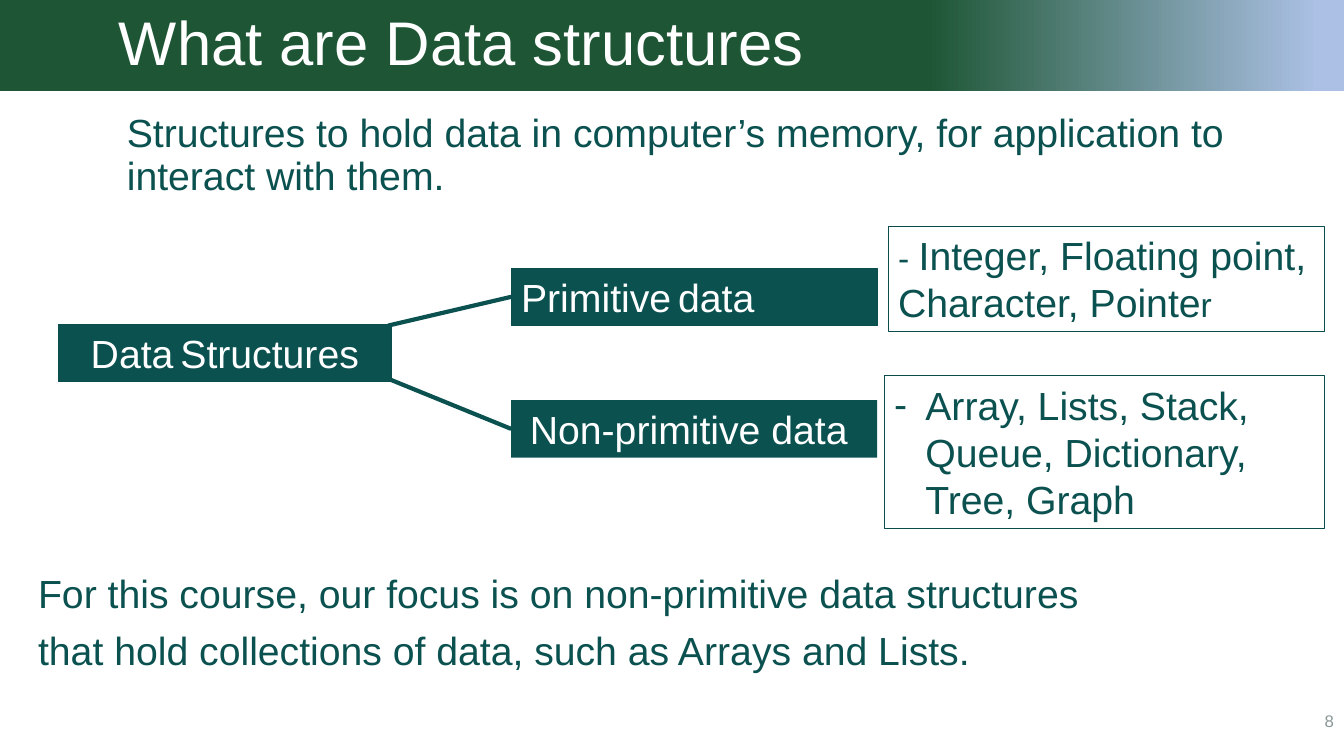
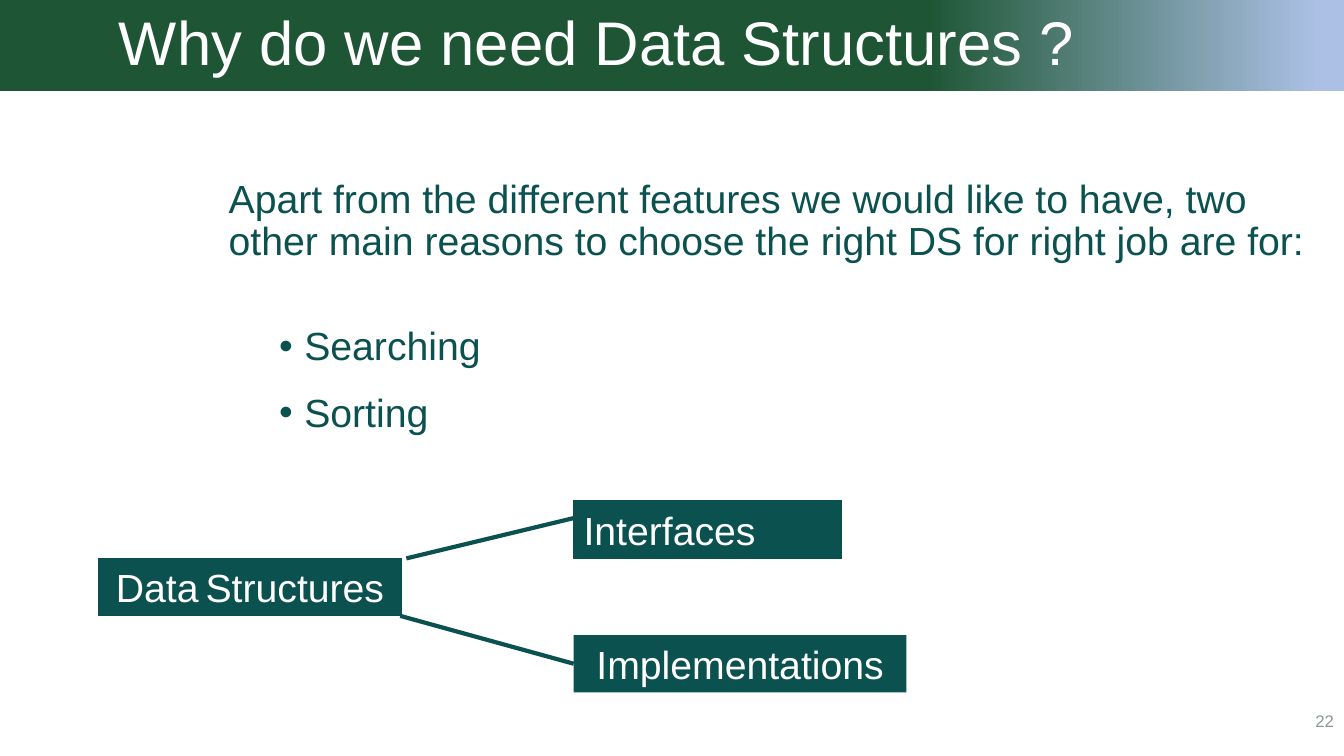
"""Build two slides on what data structures are and why we need them."""
from lxml import etree
from pptx import Presentation
from pptx.dml.color import RGBColor
from pptx.enum.shapes import MSO_CONNECTOR, MSO_SHAPE
from pptx.enum.text import MSO_ANCHOR, PP_ALIGN
from pptx.oxml.ns import qn
from pptx.util import Inches, Pt

RECT = MSO_SHAPE.RECTANGLE
LINE = MSO_CONNECTOR.STRAIGHT
TOP, MID = MSO_ANCHOR.TOP, MSO_ANCHOR.MIDDLE
LEFT, MIDDLE, RIGHT = PP_ALIGN.LEFT, PP_ALIGN.CENTER, PP_ALIGN.RIGHT
FONT = "Arial"
COLORS = {"teal": "0B5150", "edge": "0A4D4C", "green": "1E5635",
          "sky": "ABC0E4", "white": "FFFFFF", "gray": "8C9898"}
HUES = {name: RGBColor.from_string(code) for name, code in COLORS.items()}
HIGH = 0.57


def write(para, parts, hue="teal", align=LEFT, space=None):
    """Fill a paragraph with (text, size) parts."""
    para.alignment = align
    if space:
        para.line_spacing = space
        para.space_before = Pt(10)
    for text, size in parts:
        run = para.add_run()
        run.text = text
        run.font.name = FONT
        run.font.size = Pt(size)
        run.font.color.rgb = HUES[hue]


def block(slide, spot, fill=None, edge=None):
    """Add a plain rectangle with text at the top."""
    shape = slide.shapes.add_shape(RECT, *map(Inches, spot))
    shape.shadow.inherit = False
    shape.text_frame.vertical_anchor = TOP
    if fill:
        shape.fill.solid()
        shape.fill.fore_color.rgb = HUES[fill]
    else:
        shape.fill.background()
    if edge:
        shape.line.color.rgb = HUES[edge]
        shape.line.width = Pt(0.75)
    else:
        shape.line.fill.background()
    return shape


root = [("Data", 28), (" ", 18), ("Structures", 28)]
pages = [
    {"title": "What are Data structures", "number": "8",
     "texts": [
         ((1.16, 1.08, 11.53, 1.13), 0.9,
          "Structures to hold data in computer’s memory, "
          "for application to interact with them."),
         ((0.28, 5.51, 10.83, 1.3), 1.2,
          "For this course, our focus is on non-primitive data structures "
          "that hold collections of data, such as Arrays and Lists.")],
     "items": [],
     "nodes": [
         ((0.58, 3.22, 3.3), root, MIDDLE, "edge"),
         ((5.07, 2.66, 3.63), [("Primitive", 28), (" ", 18), ("data", 28)], LEFT, "edge"),
         ((5.07, 3.97, 3.63), [("Non-primitive data ", 28)], MIDDLE, None)],
     "links": [((3.85, 3.23), (5.07, 2.94), 1), ((3.88, 3.77), (5.07, 4.26), 2)],
     "notes": [
         ((8.81, 2.25, 4.33, 1.04),
          [("- ", 24), ("Integer, Floating point, Character, Pointe", 28), ("r", 24)], None),
         ((8.77, 3.73, 4.37, 1.51),
          [("Array, Lists, Stack, Queue, Dictionary, Tree, Graph", 28)], "-")]},
    {"title": "Why do we need Data Structures ?", "number": "22",
     "texts": [
         ((2.17, 1.73, 11.17, 2.87), 0.9,
          "Apart from the different features we would like to have, two "
          "other main reasons to choose the right DS for right job are for:")],
     "items": ["Searching", "Sorting"],
     "nodes": [
         ((0.98, 5.54, 3), root, MIDDLE, "edge"),
         ((5.69, 4.97, 2.66), [("Interfaces", 28)], LEFT, "edge"),
         ((5.69, 6.3, 3.3), [("Implementations", 28)], MIDDLE, None)],
     "links": [((4.03, 5.54), (5.69, 5.14), None), ((3.97, 6.11), (5.69, 6.58), 2)],
     "notes": []},
]

deck = Presentation()
deck.slide_width, deck.slide_height = Inches(13.33), Inches(7.5)

for page in pages:
    slide = deck.slides.add_slide(deck.slide_layouts[6])
    bullets = []

    band = block(slide, (0, 0, 13.33, 0.9))
    band.fill.gradient()
    band.fill.gradient_angle = 0
    for stop, place, hue in zip(band.fill.gradient_stops, (0.69, 0.98), ("green", "sky")):
        stop.position = place
        stop.color.rgb = HUES[hue]
    frame = band.text_frame
    frame.vertical_anchor = MID
    frame.margin_left = Inches(1.18)
    write(frame.paragraphs[0], [(page["title"], 44)], "white")
    frame.paragraphs[0].line_spacing = 0.9

    foot = slide.shapes.add_textbox(*map(Inches, (10.33, 6.95, 3, 0.4))).text_frame
    foot.word_wrap = True
    foot.vertical_anchor = MID
    write(foot.paragraphs[0], [(page["number"], 12)], "gray", RIGHT)

    for spot, space, text in page["texts"]:
        frame = slide.shapes.add_textbox(*map(Inches, spot)).text_frame
        frame.word_wrap = True
        write(frame.paragraphs[0], [(text, 28)], space=space)

    for rank, item in enumerate(page["items"]):
        para = frame.add_paragraph()
        write(para, [(item, 28)], space=0.9)
        para.space_before = Pt(5 if rank else 45)
        para.space_after = Pt(12)
        bullets.append((para, "•", 0.75, 0.25))

    nodes = []
    for spot, parts, align, edge in page["nodes"]:
        node = block(slide, (*spot, HIGH), "teal", edge)
        write(node.text_frame.paragraphs[0], parts, "white", align)
        nodes.append(node)

    for spot, parts, mark in page["notes"]:
        para = block(slide, spot, edge="edge").text_frame.paragraphs[0]
        write(para, parts)
        if mark:
            bullets.append((para, mark, 0.31, 0.31))

    for start, end, goal in page["links"]:
        link = slide.shapes.add_connector(LINE, *map(Inches, start + end))
        link.line.color.rgb = HUES["teal"]
        link.line.width = Pt(3)
        etree.SubElement(link._element.spPr, qn("a:effectLst"))
        if goal:
            link.end_connect(nodes[goal], 1)

    for para, mark, left, hang in bullets:
        props = para._p.get_or_add_pPr()
        props.set("marL", str(Inches(left)))
        props.set("indent", str(-Inches(hang)))
        etree.SubElement(props, qn("a:buFont")).set("typeface", FONT)
        etree.SubElement(props, qn("a:buChar")).set("char", mark)

deck.save("out.pptx")
